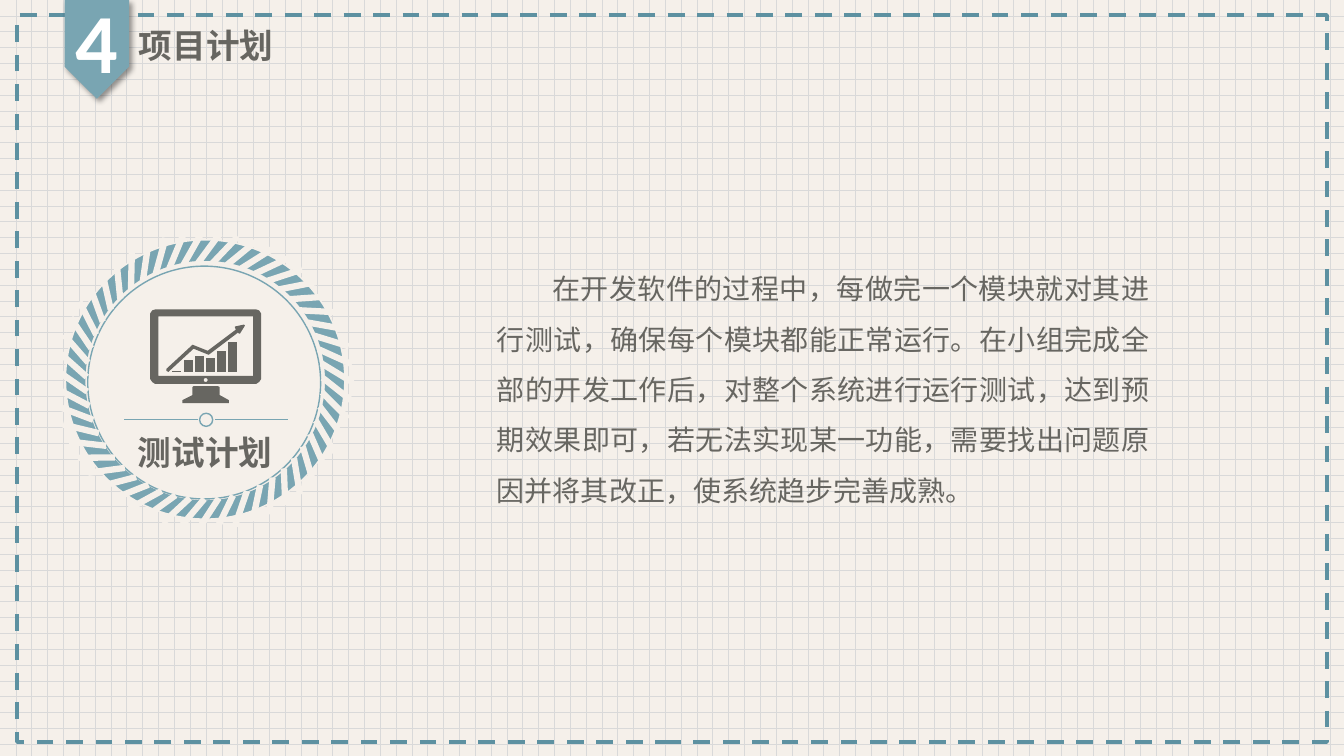
"""Build the project plan slide with its test plan badge."""
from math import cos, pi, radians, sin

from lxml.etree import SubElement
from pptx import Presentation
from pptx.dml.color import RGBColor
from pptx.enum.dml import MSO_LINE, MSO_PATTERN
from pptx.enum.lang import MSO_LANGUAGE_ID
from pptx.enum.shapes import MSO_CONNECTOR, MSO_SHAPE
from pptx.enum.text import MSO_AUTO_SIZE, PP_ALIGN
from pptx.oxml.ns import qn
from pptx.util import Inches, Pt

TITLE = "项目计划"
NUMBER = "4"
BADGE_LABEL = "测试计划"
BODY = ("在开发软件的过程中，每做完一个模块就对其进行测试，确保每个模块都能正常运行。"
        "在小组完成全部的开发工作后，对整个系统进行运行测试，达到预期效果即可，"
        "若无法实现某一功能，需要找出问题原因并将其改正，使系统趋步完善成熟。")

CREAM = RGBColor(0xF5, 0xF0, 0xEA)
GRID_GRAY = RGBColor(0xD9, 0xD9, 0xD9)
FRAME_BLUE = RGBColor(0x5D, 0x91, 0xA1)
BLUE = RGBColor(0x79, 0xA5, 0xB2)
DARK = RGBColor(0x67, 0x66, 0x61)
WHITE = RGBColor(0xFF, 0xFF, 0xFF)
HEADING_FONT, BODY_FONT = "Noto Sans CJK SC", "Calibri"

DISCS = [
    ((0.65, 2.38, 2.77, 2.77), BLUE, CREAM),
    ((0.84, 2.58, 2.39, 2.39), CREAM, BLUE),
    ((0.87, 2.64, 2.31, 2.31), CREAM, BLUE),
]
RING_CENTER = (2.03, 3.78)
STRIPE_COUNT = 51
STRIPE_ENDS = [(1.47, 184.1), (1.17, 174.9)]

CHART_BASE, BAR_LEFT, BAR_PITCH, BAR_WIDTH = 3.69, 1.71, 0.11, 0.09
BAR_TOPS = [3.68, 3.57, 3.53, 3.55, 3.48, 3.39]
STAND = [(2.18, 3.92), (2.18, 3.84), (2.16, 3.83), (1.92, 3.83), (1.91, 3.84),
         (1.91, 3.92), (1.81, 3.97), (1.81, 4), (2.27, 4), (2.27, 3.97)]
MONITOR = [(2.57, 3.08), (2.54, 3.07), (1.54, 3.07), (1.51, 3.08), (1.49, 3.11),
           (1.49, 3.76), (1.51, 3.79), (1.54, 3.81), (2.54, 3.81), (2.57, 3.79),
           (2.59, 3.76), (2.59, 3.11)]
SCREEN = [(2.51, 3.73), (1.57, 3.73), (1.57, 3.14), (2.51, 3.14)]
BUTTON_CENTER, BUTTON_RADIUS = (2.04, 3.77), 0.02
TREND_ARROW = [(2.43, 3.23), (2.42, 3.22), (2.33, 3.24), (2.33, 3.25), (2.34, 3.27),
               (2.06, 3.48), (1.91, 3.42), (1.65, 3.66), (1.65, 3.68), (1.67, 3.69),
               (1.92, 3.46), (2.07, 3.52), (2.36, 3.3), (2.37, 3.31), (2.38, 3.31)]
DIVIDER_TOP = 4.16
DIVIDERS = [(1.23, 1.96), (2.13, 2.86)]


def on_circle(center, radius, angle):
    return center[0] + radius * cos(angle), center[1] + radius * sin(angle)


def add_preset(slide, kind, box, fill=None, line=None, width=1):
    shape = slide.shapes.add_shape(kind, *map(Inches, box))
    shape.shadow.inherit = False
    if fill is None:
        shape.fill.background()
    else:
        shape.fill.solid()
        shape.fill.fore_color.rgb = fill
    if line is None:
        shape.line.fill.background()
    else:
        shape.line.color.rgb = line
        shape.line.width = Pt(width)
    return shape


def add_line(slide, start, end, color, width):
    connector = slide.shapes.add_connector(
        MSO_CONNECTOR.STRAIGHT, *map(Inches, (*start, *end)))
    connector.line.color.rgb = color
    connector.line.width = Pt(width)
    SubElement(connector._element.spPr, qn("a:effectLst"))


def add_outline(slide, *contours):
    first, *others = [[(Inches(x), Inches(y)) for x, y in contour] for contour in contours]
    builder = slide.shapes.build_freeform(*first[0])
    builder.add_line_segments(first[1:], close=True)
    for contour in others:
        builder.move_to(*contour[0])
        builder.add_line_segments(contour[1:], close=True)
    shape = builder.convert_to_shape()
    shape.shadow.inherit = False
    shape.fill.solid()
    shape.fill.fore_color.rgb = DARK
    shape.line.fill.background()


def add_text(slide, box, text, font_name, size, color, bold=False, wrap=False):
    frame = slide.shapes.add_textbox(*map(Inches, box)).text_frame
    frame.word_wrap = wrap
    frame.auto_size = MSO_AUTO_SIZE.SHAPE_TO_FIT_TEXT
    paragraph = frame.paragraphs[0]
    run = paragraph.add_run()
    run.text = text
    run.font.name = font_name
    run.font.size = Pt(size)
    run.font.bold = bold
    run.font.color.rgb = color
    run.font.language_id = MSO_LANGUAGE_ID.SIMPLIFIED_CHINESE
    return paragraph


def add_soft_shadow(shape):
    effects = shape._element.spPr.find(qn("a:effectLst"))
    shadow = SubElement(effects, qn("a:outerShdw"), blurRad=str(Pt(4)),
                        dist=str(Pt(3)), dir=str(45 * 60000), rotWithShape="0")
    color = SubElement(shadow, qn("a:srgbClr"), val="000000")
    SubElement(color, qn("a:alpha"), val="40000")


def add_header(slide):
    frame = add_preset(slide, MSO_SHAPE.RECTANGLE, (0.17, 0.15, 12.99, 7.21),
                       line=FRAME_BLUE, width=3)
    frame.line.dash_style = MSO_LINE.DASH
    add_text(slide, (1.28, 0.2, 1.55, 0.5), TITLE, HEADING_FONT, 24, DARK, bold=True)
    ribbon = add_preset(slide, MSO_SHAPE.PENTAGON, (0.47, 0.17, 0.98, 0.64), BLUE)
    ribbon.rotation = 90
    add_soft_shadow(ribbon)
    add_text(slide, (0.65, -0.15, 0.63, 1.11), NUMBER, BODY_FONT, 60, WHITE, bold=True)


def add_badge(slide):
    for box, fill, line in DISCS:
        add_preset(slide, MSO_SHAPE.OVAL, box, fill, line)
    for index in range(STRIPE_COUNT):
        turn = 360 * index / STRIPE_COUNT
        start, end = [on_circle(RING_CENTER, radius, radians(angle + turn))
                      for radius, angle in STRIPE_ENDS]
        add_line(slide, start, end, CREAM, 4.5)

    button = [on_circle(BUTTON_CENTER, BUTTON_RADIUS, step * pi / 6) for step in range(12)]
    add_outline(slide, STAND)
    add_outline(slide, MONITOR, button, SCREEN)
    for index, top in enumerate(BAR_TOPS):
        left = BAR_LEFT + index * BAR_PITCH
        right = left + BAR_WIDTH
        add_outline(slide, [(left, top), (left, CHART_BASE),
                            (right, CHART_BASE), (right, top)])
    add_outline(slide, TREND_ARROW)

    for left, right in DIVIDERS:
        add_line(slide, (left, DIVIDER_TOP), (right, DIVIDER_TOP), BLUE, 0.5)
    add_preset(slide, MSO_SHAPE.OVAL, (1.98, 4.1, 0.13, 0.13), line=BLUE)
    add_text(slide, (1.27, 4.24, 1.55, 0.5), BADGE_LABEL, HEADING_FONT, 24, DARK, bold=True)


def add_body(slide):
    paragraph = add_text(slide, (4.83, 2.48, 6.67, 2.93), BODY, BODY_FONT, 20, DARK, wrap=True)
    paragraph.alignment = PP_ALIGN.JUSTIFY
    paragraph.line_spacing = 1.5
    paragraph._p.get_or_add_pPr().set("indent", str(Inches(0.55)))


def main():
    presentation = Presentation()
    presentation.slide_width = Inches(13.33)
    presentation.slide_height = Inches(7.5)
    slide = presentation.slides.add_slide(presentation.slide_layouts[6])
    background = slide.background.fill
    background.patterned()
    background.pattern = MSO_PATTERN.DOTTED_GRID
    background.fore_color.rgb = GRID_GRAY
    background.back_color.rgb = CREAM
    add_header(slide)
    add_badge(slide)
    add_body(slide)
    presentation.save("out.pptx")


if __name__ == "__main__":
    main()
